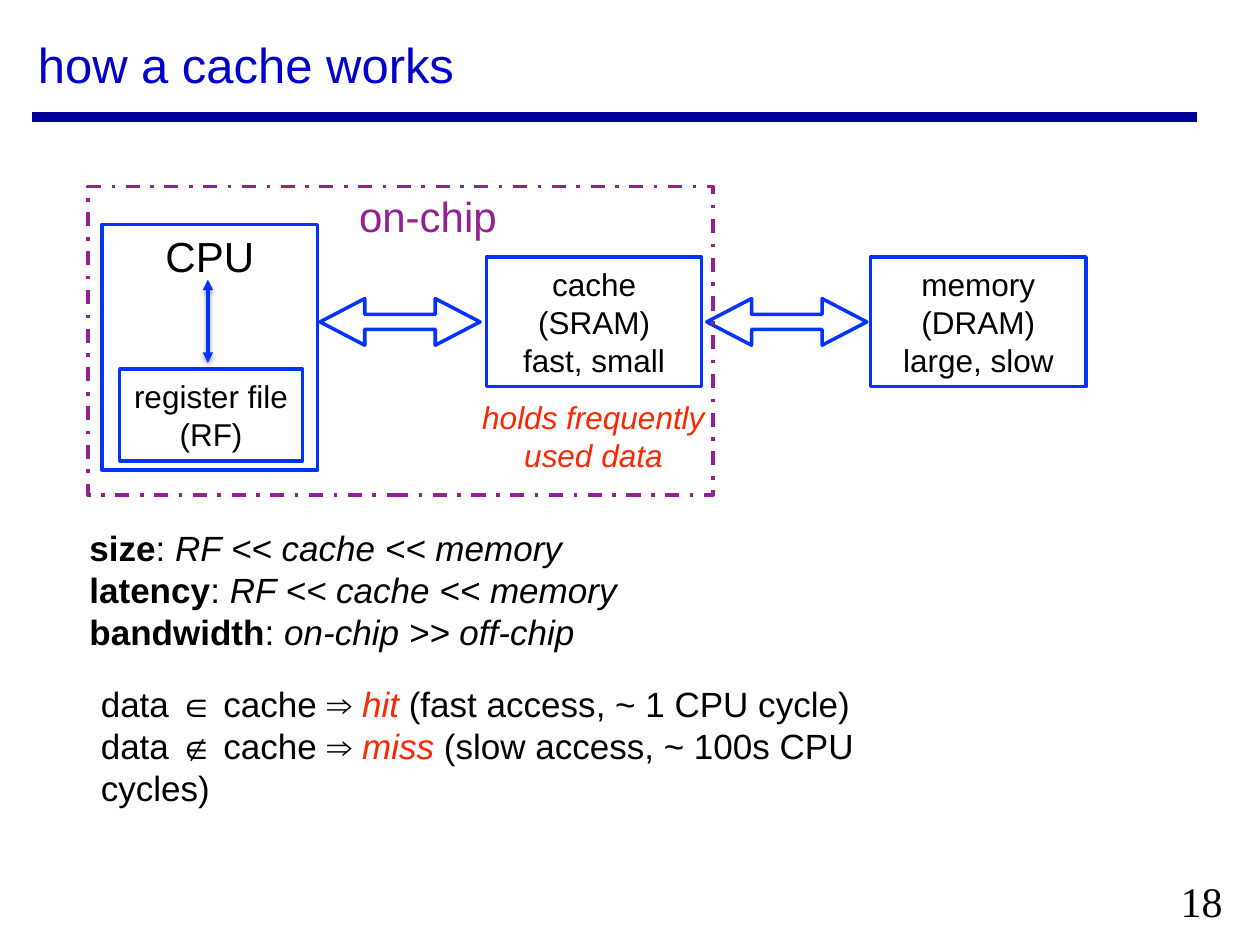
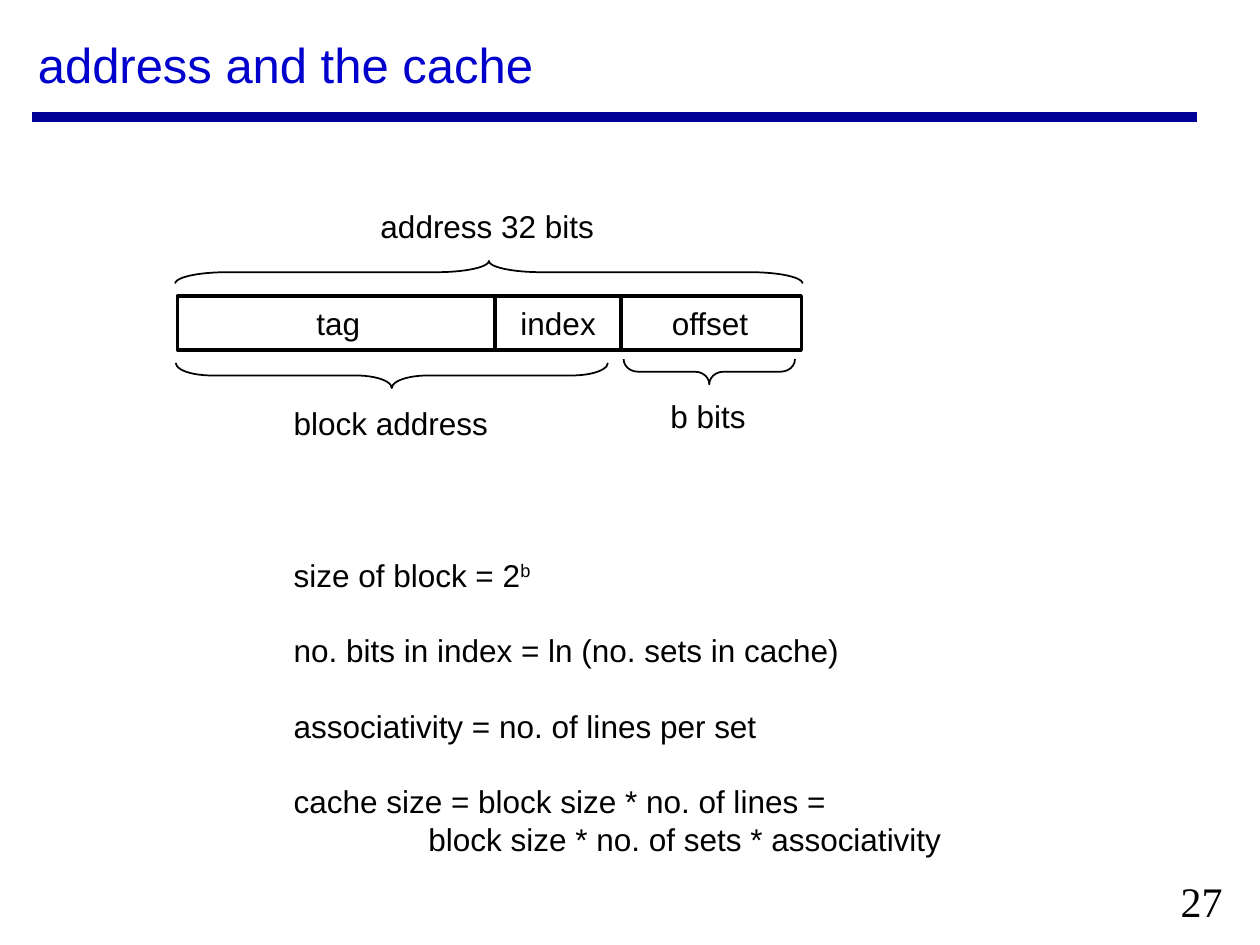
from lxml.etree import SubElement
from pptx import Presentation
from pptx.dml.color import RGBColor
from pptx.enum.dml import MSO_LINE
from pptx.enum.shapes import MSO_CONNECTOR, MSO_SHAPE
from pptx.enum.text import MSO_ANCHOR, MSO_AUTO_SIZE, PP_ALIGN
from pptx.oxml import parse_xml
from pptx.oxml.ns import nsdecls, qn
from pptx.util import Inches, Pt

hue = RGBColor.from_string
BLACK, WHITE, BLUE, RED, PLUM = "000000", "FFFFFF", "0433FF", "FF2600", "942193"
NAVY, TITLE = "000099", "0000CC"
LEFT, MID = PP_ALIGN.LEFT, PP_ALIGN.CENTER

deck = Presentation()
deck.slide_width, deck.slide_height = Inches(10), Inches(7.5)
col, row = deck.slide_width / 100, deck.slide_height / 75


def put(shape, at, fill=None, line=None, width=2):
    x, y, w, h = at
    shape.left, shape.top = round(x * col), round(y * row)
    shape.width, shape.height = round(w * col), round(h * row)
    shape.shadow.inherit = False
    if fill:
        shape.fill.solid()
        shape.fill.fore_color.rgb = hue(fill)
    else:
        shape.fill.background()
    if line:
        shape.line.color.rgb = hue(line)
        shape.line.width = Pt(width)
    else:
        shape.line.fill.background()
    return shape


def write(shape, lines, size=18, ink=BLACK, align=LEFT, anchor=MSO_ANCHOR.TOP,
          face="Arial", gap=0):
    frame = shape.text_frame
    frame.word_wrap, frame.auto_size = True, MSO_AUTO_SIZE.NONE
    frame.vertical_anchor = anchor
    frame.margin_left = frame.margin_right = Inches(0.05)
    frame.margin_top = frame.margin_bottom = Inches(0.05)
    for n, line in enumerate(lines):
        para = frame.paragraphs[0] if n == 0 else frame.add_paragraph()
        para.alignment = align
        para.space_before = Pt(gap if n else 0)
        props = para._p.get_or_add_pPr()
        props.set("marL", "0")
        props.set("indent", "0")
        SubElement(props, qn("a:buNone"))
        for text, style in [(line, "")] if isinstance(line, str) else line:
            run = para.add_run()
            run.text = text
            font = run.font
            font.name, font.size = face, Pt(size)
            font.bold, font.italic = "b" in style, "i" in style
            font.color.rgb = hue(RED if "r" in style else ink)
            if "s" in style:
                run._r.get_or_add_rPr().set("baseline", "30000")
    return frame


layout = deck.slide_layouts[1]
for holder in list(layout.placeholders):
    if holder.placeholder_format.idx >= 10:
        holder.element.getparent().remove(holder.element)

pages = []
for title, number in [("how a cache works", "18"), ("address and the cache", "27")]:
    page = deck.slides.add_slide(layout)
    head = put(page.shapes.title, (2.5, 1.7, 85, 6.7))
    write(head, [title], 28, TITLE, anchor=MSO_ANCHOR.MIDDLE)
    folio = put(page.shapes.add_textbox(0, 0, 0, 0), (93.2, 69, 5, 4.6))
    write(folio, [number], 24, face="Times New Roman")
    pages.append(page)

draw = pages[0].shapes
rule = draw.add_connector(MSO_CONNECTOR.STRAIGHT, round(2.5 * col), round(9.3 * row),
                          round(95 * col), round(9.3 * row))
rule.line.color.rgb, rule.line.width = hue(NAVY), Pt(6)
SubElement(rule.element.spPr, qn("a:effectLst"))
layout.shapes.element.append(rule.element)

cards = [
    ((8.1, 17.8, 17.1, 19.5), ["CPU"], 24, MSO_ANCHOR.TOP),
    ((9.5, 29.3, 14.5, 7.3), ["register file", "(RF)"], 18, MSO_ANCHOR.MIDDLE),
    ((38.6, 20.4, 17.1, 10.3), ["cache", "(SRAM)", "fast, small"], 18, MSO_ANCHOR.MIDDLE),
    ((69.1, 20.4, 17.1, 10.3), ["memory", "(DRAM)", "large, slow"], 18, MSO_ANCHOR.MIDDLE),
]
for at, lines, size, anchor in cards:
    card = put(draw.add_shape(MSO_SHAPE.RECTANGLE, 0, 0, 0, 0), at, WHITE, BLUE)
    write(card, lines, size, align=MID, anchor=anchor)

link = draw.add_connector(MSO_CONNECTOR.STRAIGHT, round(16.5 * col), round(28.8 * row),
                          round(16.5 * col), round(22.2 * row))
link.line.color.rgb, link.line.width = hue(BLUE), Pt(2)
for end in ("a:headEnd", "a:tailEnd"):
    SubElement(link.line._get_or_add_ln(), qn(end), type="triangle")
link.element.spPr.append(parse_xml(
    f'<a:effectLst {nsdecls("a")}><a:outerShdw blurRad="38100" dist="20320" dir="5400000">'
    f'<a:srgbClr val="{BLACK}"><a:alpha val="38000"/></a:srgbClr></a:outerShdw></a:effectLst>'))

for x in (25.4, 56.1):
    bus = put(draw.add_shape(MSO_SHAPE.LEFT_RIGHT_ARROW, 0, 0, 0, 0),
              (x, 23.7, 12.7, 3.7), WHITE, BLUE)
    bus.adjustments[0], bus.adjustments[1] = 0.32, 0.96

note = put(draw.add_textbox(0, 0, 0, 0), (37.1, 31.1, 20, 6.8))
write(note, [[("holds frequently used data", "ir")]], align=MID)
facts = put(pages[0].placeholders[1], (6.6, 41.3, 46, 10.5))
write(facts, [[(name, "b"), (": ", ""), (order, "i")] for name, order in [
    ("size", "RF << cache << memory"),
    ("latency", "RF << cache << memory"),
    ("bandwidth", "on-chip >> off-chip")]], 20)
chip = put(draw.add_shape(MSO_SHAPE.RECTANGLE, 0, 0, 0, 0), (7, 14.8, 49.6, 24.5), None, PLUM)
chip.line.dash_style = MSO_LINE.DASH_DOT
label = put(draw.add_textbox(0, 0, 0, 0), (28, 14.6, 13, 4.8))
write(label, ["on-chip"], 24, PLUM)
cases = put(draw.add_textbox(0, 0, 0, 0), (7.5, 53.7, 67.5, 10.5))
write(cases, [[(f"data {sign} cache ⇒ ", ""), (word, "ir"), (cost, "")] for sign, word, cost in [
    ("∈", "hit", " (fast access, ~ 1 CPU cycle)"),
    ("∉", "miss", " (slow access, ~ 100s CPU cycles)")]], 20)

draw = pages[1].shapes
for name, x, w in [("offset", 49.1, 14.5), ("tag", 14.1, 25.5), ("index", 39.3, 10)]:
    field = put(draw.add_shape(MSO_SHAPE.RECTANGLE, 0, 0, 0, 0), (x, 23.5, w, 4.3), WHITE, BLACK)
    write(field, [name], align=MID, anchor=MSO_ANCHOR.MIDDLE)

for kind, x, y, span, deep in [
        (MSO_SHAPE.RIGHT_BRACE, 38.8, 21.6, 49.8, 1.8),
        (MSO_SHAPE.LEFT_BRACE, 56.3, 29.5, 13.6, 2),
        (MSO_SHAPE.LEFT_BRACE, 31.1, 29.8, 34.3, 2)]:
    brace = put(draw.add_shape(kind, 0, 0, 0, 0),
                (x - deep / 2, y - span / 2, deep, span), None, BLACK, 1)
    brace.adjustments[0] = span / 12 / deep
    brace.rotation = 270

for text, x, y, w in [("address 32 bits", 29.7, 15.9, 19), ("b bits", 52.7, 31, 8),
                      ("block address", 22.8, 31.6, 17.5)]:
    write(put(draw.add_textbox(0, 0, 0, 0), (x, y, w, 3.8)), [text])

rules = put(pages[1].placeholders[1], (22.8, 43.6, 74.4, 27.2))
frame = write(rules, [
    [("size of block = 2", ""), ("b", "s")],
    "no. bits in index = ln (no. sets in cache)",
    "associativity = no. of lines per set",
    "cache size = block size * no. of lines =",
    "block size * no. of sets * associativity"], gap=21.6)
last = frame.paragraphs[4]
last.space_before = Pt(0)
last._p.get_or_add_pPr().set("marL", str(Inches(1.07)))

deck.save("out.pptx")
